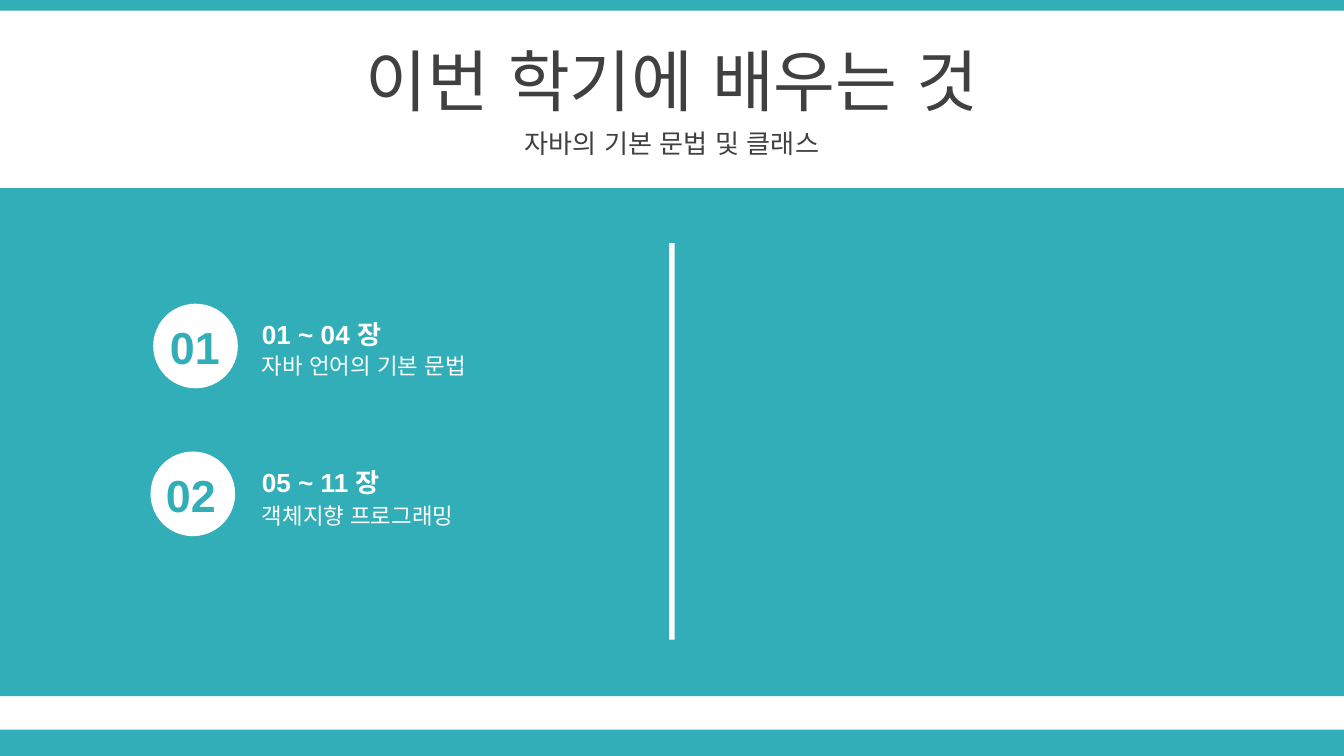
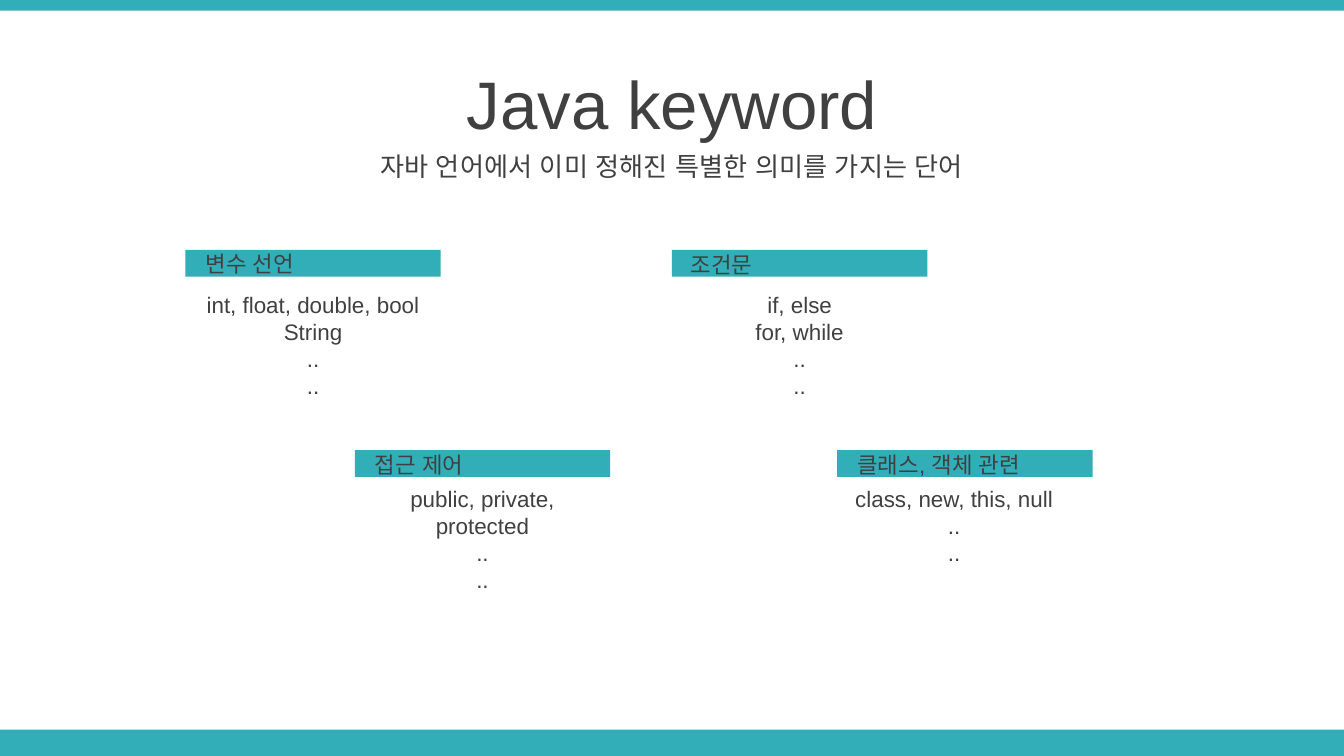
import dataclasses

import lxml.etree
import pptx
import pptx.dml.color
import pptx.enum.shapes
import pptx.enum.text
import pptx.oxml.ns
import pptx.util

Inches = pptx.util.Inches
Pt = pptx.util.Pt
Shapes = pptx.enum.shapes.MSO_SHAPE
Align = pptx.enum.text.PP_ALIGN
Anchor = pptx.enum.text.MSO_ANCHOR
AutoSize = pptx.enum.text.MSO_AUTO_SIZE


@dataclasses.dataclass(frozen=True)
class Theme:
    font: str = "Arial"
    teal: str = "32AEB8"
    white: str = "FFFFFF"
    dark: str = "404040"
    title: int = 36
    number: int = 24
    subtitle: int = 14
    body: int = 12


class Deck:
    width = 10
    height = width * 9 / 16

    def __init__(self, theme):
        self.theme = theme
        self.presentation = pptx.Presentation()
        self.presentation.slide_width = Inches(self.width)
        self.presentation.slide_height = Inches(self.height)
        self.slide = None

    def add_slide(self, title, subtitle, title_top):
        layout = self.presentation.slide_layouts[6]
        self.slide = self.presentation.slides.add_slide(layout)
        self.add_block(0, 5.43, self.width, 0.2, self.theme.teal)
        self.add_block(0, 0, self.width, 0.08, self.theme.teal)
        self.add_heading(title, title_top, 0.63, self.theme.title)
        self.add_heading(subtitle, title_top + 0.63, 0.31, self.theme.subtitle)

    def add_block(self, left, top, width, height, color, kind=Shapes.RECTANGLE):
        shape = self.slide.shapes.add_shape(
            kind, Inches(left), Inches(top), Inches(width), Inches(height))
        shape.shadow.inherit = False
        shape.fill.solid()
        shape.fill.fore_color.rgb = pptx.dml.color.RGBColor.from_string(color)
        shape.line.fill.background()

    def add_text(self, lines, left, top, width, height, size, color, align=Align.LEFT,
                 bold=False, anchor=Anchor.TOP, space_before=0,
                 auto_size=AutoSize.SHAPE_TO_FIT_TEXT):
        box = self.slide.shapes.add_textbox(
            Inches(left), Inches(top), Inches(width), Inches(height))
        frame = box.text_frame
        frame.word_wrap = True
        frame.auto_size = auto_size
        frame.vertical_anchor = anchor
        for index, line in enumerate(lines):
            paragraph = frame.add_paragraph() if index else frame.paragraphs[0]
            paragraph.alignment = align
            paragraph.space_before = Pt(space_before)
            run = paragraph.add_run()
            run.text = line
            run.font.size = Pt(size)
            run.font.bold = bold
            run.font.color.rgb = pptx.dml.color.RGBColor.from_string(color)
            self.set_font(run)

    def set_font(self, run):
        run.font.name = self.theme.font
        properties = run._r.get_or_add_rPr()
        for tag in ("a:ea", "a:cs"):
            script_font = lxml.etree.SubElement(properties, pptx.oxml.ns.qn(tag))
            script_font.set("typeface", self.theme.font)

    def add_heading(self, text, top, height, size):
        self.add_text([text], 0, top, self.width, height, size, self.theme.dark,
                      Align.CENTER, anchor=Anchor.MIDDLE, space_before=size * 0.2,
                      auto_size=AutoSize.NONE)

    def add_chapter(self, number, chapters, topic, circle_at, number_left, topic_top):
        theme = self.theme
        top = circle_at[1]
        self.add_block(*circle_at, 0.63, 0.63, theme.white, Shapes.OVAL)
        self.add_text([topic], 1.85, topic_top, 2.91, 0.3, theme.body, theme.white)
        self.add_text([chapters], 1.85, top + 0.06, 2.91, 0.34,
                      theme.subtitle, theme.white, bold=True)
        self.add_text([number], number_left, top + 0.07, 0.7, 0.5,
                      theme.number, theme.teal, Align.CENTER, bold=True)

    def add_keywords(self, label, keywords, bar_at, label_box, text_box):
        theme = self.theme
        label_left, label_top, label_width = label_box
        text_left, text_top, text_height = text_box
        self.add_text(keywords + ["..", ".."], text_left, text_top, 1.9, text_height,
                      theme.body, theme.dark, Align.CENTER)
        self.add_block(*bar_at, 1.9, 0.2, theme.teal)
        self.add_text([label], label_left, label_top, label_width, 0.3,
                      theme.body, theme.dark, Align.CENTER)


def build_semester(deck):
    deck.add_slide("이번 학기에 배우는 것", "자바의 기본 문법 및 클래스", 0.28)
    deck.add_block(0, 1.4, deck.width, 3.78, deck.theme.teal)
    deck.add_chapter("01", "01 ~ 04 장", "자바 언어의 기본 문법", (1.14, 2.26), 1.1, 2.57)
    deck.add_chapter("02", "05 ~ 11 장", "객체지향 프로그래밍", (1.12, 3.36), 1.07, 3.69)
    deck.add_block(4.98, 1.81, 0.04, 2.95, deck.theme.white)


def build_keywords(deck):
    deck.add_slide("Java keyword", "자바 언어에서 이미 정해진 특별한 의미를 가지는 단어", 0.45)
    upper, upper_text = 1.86, 2.12
    lower, lower_text = 3.35, 3.56
    deck.add_keywords("접근 제어", ["public, private, protected"],
                      (2.64, lower), (2.64, 3.31, 0.96), (2.64, lower_text, 0.91))
    deck.add_keywords("변수 선언", ["int, float, double, bool", "String"],
                      (1.38, upper), (1.38, 1.81, 0.96), (1.38, upper_text, 0.91))
    deck.add_keywords("클래스, 객체 관련", ["class, new, this, null"],
                      (6.23, lower), (6.2, 3.31, 1.57), (6.15, lower_text, 0.71))
    deck.add_keywords("조건문", ["if, else", "for, while"],
                      (5, upper), (4.89, 1.82, 0.96), (5, upper_text, 0.91))


def main():
    deck = Deck(Theme())
    build_semester(deck)
    build_keywords(deck)
    deck.presentation.save("out.pptx")


if __name__ == "__main__":
    main()
